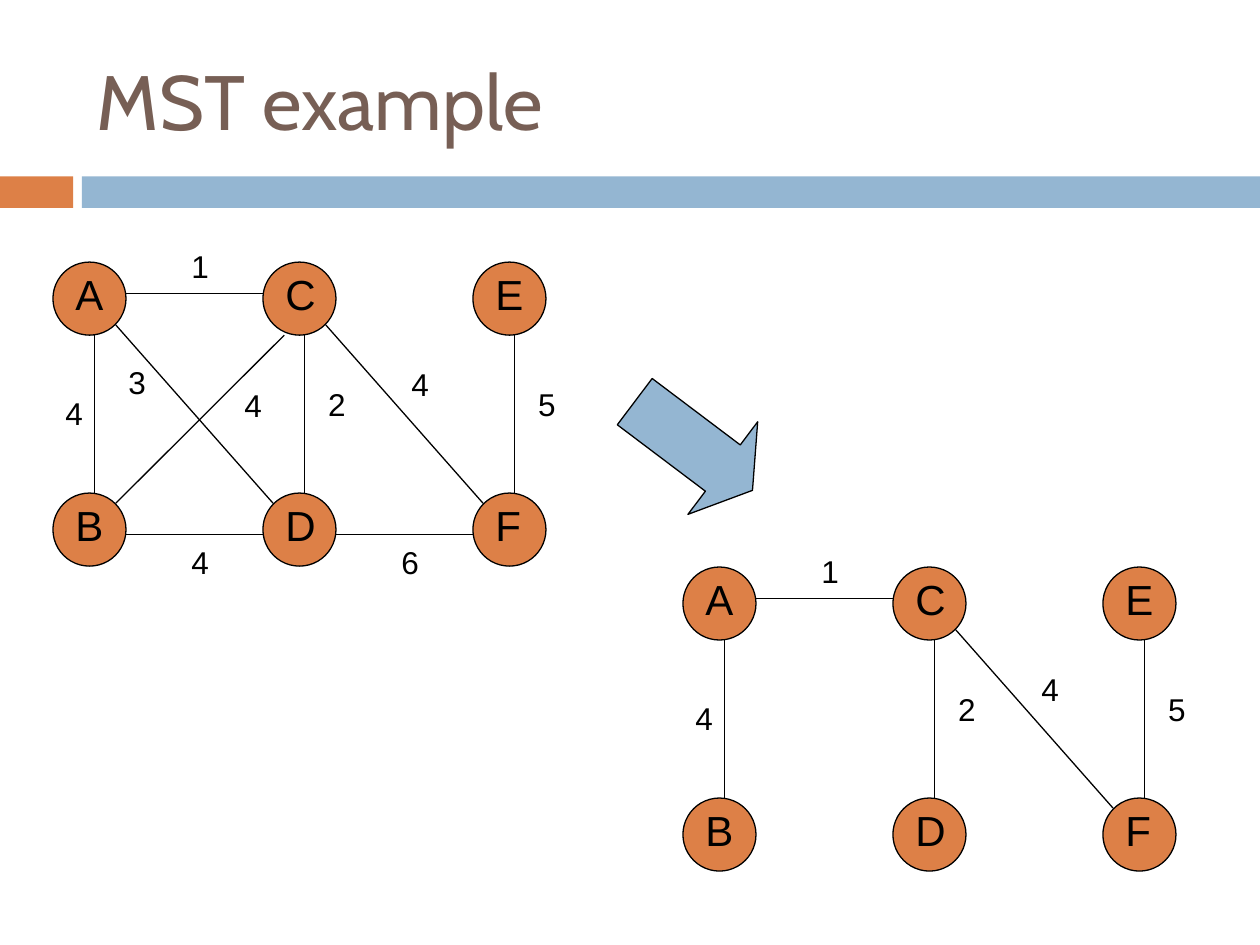
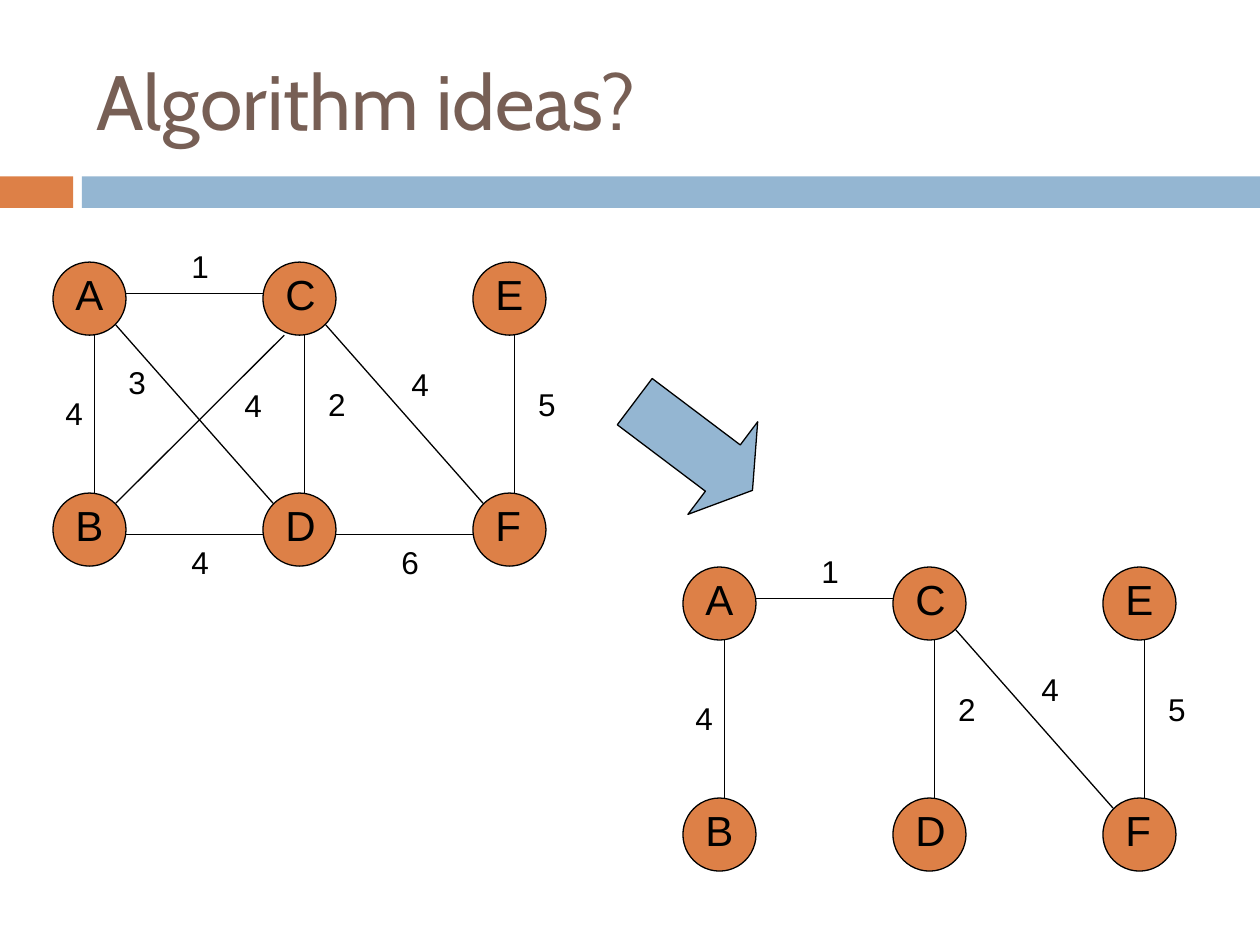
"""Build two slides that show a weighted graph and its minimum spanning tree."""
from dataclasses import dataclass
from typing import NamedTuple

from lxml import etree
from pptx import Presentation
from pptx import util as u
from pptx.dml.color import RGBColor
from pptx.enum import shapes, text
from pptx.oxml import ns


class Point(NamedTuple):
    x: float
    y: float

    def shift(self, other: "Point") -> "Point":
        return Point(self.x + other.x, self.y + other.y)


class Area(NamedTuple):
    left: float
    top: float
    width: float
    height: float

    def lengths(self) -> list[u.Length]:
        return [u.Inches(value) for value in self]


@dataclass(frozen=True)
class Theme:
    accent: RGBColor = RGBColor.from_string("DD8047")
    band: RGBColor = RGBColor.from_string("94B6D2")
    title: RGBColor = RGBColor.from_string("775F55")
    ink: RGBColor = RGBColor.from_string("000000")
    title_font: str = "Cabin"
    body_font: str = "Arial"
    title_size: int = 44
    node_size: int = 24
    weight_size: int = 18
    line_width: float = 0.75


@dataclass(frozen=True)
class Edge:
    start: str
    end: str
    leave: Point
    arrive: Point
    weight: str
    label: Point
    in_tree: bool = False


THEME = Theme()
TITLES = ("MST example", "Algorithm ideas?")
BANDS = ((Area(0, 1.4, 0.58, 0.25), THEME.accent), (Area(0.65, 1.4, 9.35, 0.25), THEME.band))
TITLE_AREA = Area(0.67, 0.25, 8.92, 1.08)
ARROW_AREA = Area(4.92, 3.08, 1.17, 0.92)
GRAPH_ORIGIN = Point(0.42, 2.08)
TREE_ORIGIN = Point(5.42, 4.5)

DIAMETER = 0.58
COLUMN_STEP = 5 / 3
ROW_STEP = 11 / 6
NODES = {
    name: Point(column * COLUMN_STEP, row * ROW_STEP)
    for column, names in enumerate(("AB", "CD", "EF"))
    for row, name in enumerate(names)
}

UPPER_RIGHT, UPPER_LEFT = Point(DIAMETER, 0.25), Point(0, 0.25)
LOWER_RIGHT, LOWER_LEFT = Point(DIAMETER, 0.33), Point(0, 0.33)
BOTTOM, TOP = Point(0.33, DIAMETER), Point(0.33, 0)
CORNER_OUT, CORNER_IN = Point(0.5, 0.5), Point(0.08, 0.08)
BESIDE, BELOW = Point(0.42, 0.93), Point(1, 0.35)

EDGES = (
    Edge("A", "B", BOTTOM, TOP, "4", Point(0, 1), True),
    Edge("A", "C", UPPER_RIGHT, UPPER_LEFT, "1", Point(1, -0.17), True),
    Edge("C", "D", BOTTOM, TOP, "2", BESIDE, True),
    Edge("E", "F", BOTTOM, TOP, "5", BESIDE, True),
    Edge("C", "F", CORNER_OUT, CORNER_IN, "4", Point(1.08, 0.77), True),
    Edge("A", "D", CORNER_OUT, CORNER_IN, "3", Point(0.5, 0.75)),
    Edge("B", "D", LOWER_RIGHT, LOWER_LEFT, "4", BELOW),
    Edge("D", "F", LOWER_RIGHT, LOWER_LEFT, "6", BELOW),
    Edge("B", "C", Point(0.5, 0.08), Point(0.17, DIAMETER), "4", Point(1.42, -0.9)),
)


def add_text(parent, area: Area, words: str, font: str, size: int, color: RGBColor):
    """Add a wrapped text box with one run."""
    box = parent.add_textbox(*area.lengths())
    box.text_frame.word_wrap = True
    para = box.text_frame.paragraphs[0]
    span = para.add_run()
    span.text = words
    span.font.name = font
    span.font.size = u.Pt(size)
    span.font.color.rgb = color
    return box


def add_label(parent, area: Area, words: str, size: int) -> None:
    """Add a graph label whose box grows with its text."""
    box = add_text(parent, area, words, THEME.body_font, size, THEME.ink)
    box.text_frame.auto_size = text.MSO_AUTO_SIZE.SHAPE_TO_FIT_TEXT
    properties = box.text_frame.paragraphs[0]._p.get_or_add_pPr()
    spacing = etree.SubElement(properties, ns.qn("a:spcBef"))
    etree.SubElement(spacing, ns.qn("a:spcPct"), val="50000")


def add_filled(parent, kind: shapes.MSO_SHAPE, area: Area, fill: RGBColor, outlined: bool = True):
    """Add a flat preset shape, with or without an outline."""
    shape = parent.add_shape(kind, *area.lengths())
    shape.shadow.inherit = False
    shape.fill.solid()
    shape.fill.fore_color.rgb = fill
    if outlined:
        shape.line.color.rgb = THEME.ink
        shape.line.width = u.Pt(THEME.line_width)
    else:
        shape.line.fill.background()
    return shape


def add_node(page, name: str, corner: Point) -> None:
    """Group a circle with its letter."""
    group = page.shapes.add_group_shape().shapes
    add_filled(group, shapes.MSO_SHAPE.OVAL, Area(*corner, DIAMETER, DIAMETER), THEME.accent)
    letter_area = Area(*corner.shift(Point(0.08, 0)), 0.5, 0.5)
    add_label(group, letter_area, name, THEME.node_size)


def add_edge(page, edge: Edge, origin: Point) -> None:
    """Draw an edge and its weight."""
    start = origin.shift(NODES[edge.start])
    end = origin.shift(NODES[edge.end])
    ends = (*start.shift(edge.leave), *end.shift(edge.arrive))
    line = page.shapes.add_connector(
        shapes.MSO_CONNECTOR.STRAIGHT, *(u.Inches(value) for value in ends)
    )
    line.line.color.rgb = THEME.ink
    line.line.width = u.Pt(THEME.line_width)
    etree.SubElement(line._element.spPr, ns.qn("a:effectLst"))
    add_label(page.shapes, Area(*start.shift(edge.label), 0.58, 0.4), edge.weight, THEME.weight_size)


def add_graph(page, origin: Point, tree_only: bool) -> None:
    """Draw all nodes with either every edge or the tree edges."""
    for name, corner in NODES.items():
        add_node(page, name, origin.shift(corner))
    for edge in EDGES:
        if edge.in_tree or not tree_only:
            add_edge(page, edge, origin)


def add_frame(page, title: str) -> None:
    """Draw the bands and the title."""
    for area, color in BANDS:
        add_filled(page.shapes, shapes.MSO_SHAPE.RECTANGLE, area, color, outlined=False)
    box = add_text(
        page.shapes, TITLE_AREA, title, THEME.title_font, THEME.title_size, THEME.title
    )
    box.text_frame.vertical_anchor = text.MSO_ANCHOR.MIDDLE


def add_arrow(page) -> None:
    """Point from the graph to its tree."""
    arrow = add_filled(page.shapes, shapes.MSO_SHAPE.RIGHT_ARROW, ARROW_AREA, THEME.band)
    arrow.adjustments[0] = 0.5
    arrow.adjustments[1] = 0.32
    arrow.rotation = 37


def main() -> None:
    """Build and save the deck."""
    deck = Presentation()
    deck.slide_width, deck.slide_height = u.Inches(10), u.Inches(7.5)
    for title in TITLES:
        page = deck.slides.add_slide(deck.slide_layouts[6])
        add_frame(page, title)
        add_graph(page, GRAPH_ORIGIN, tree_only=False)
        add_graph(page, TREE_ORIGIN, tree_only=True)
        add_arrow(page)
    deck.save("out.pptx")


if __name__ == "__main__":
    main()
